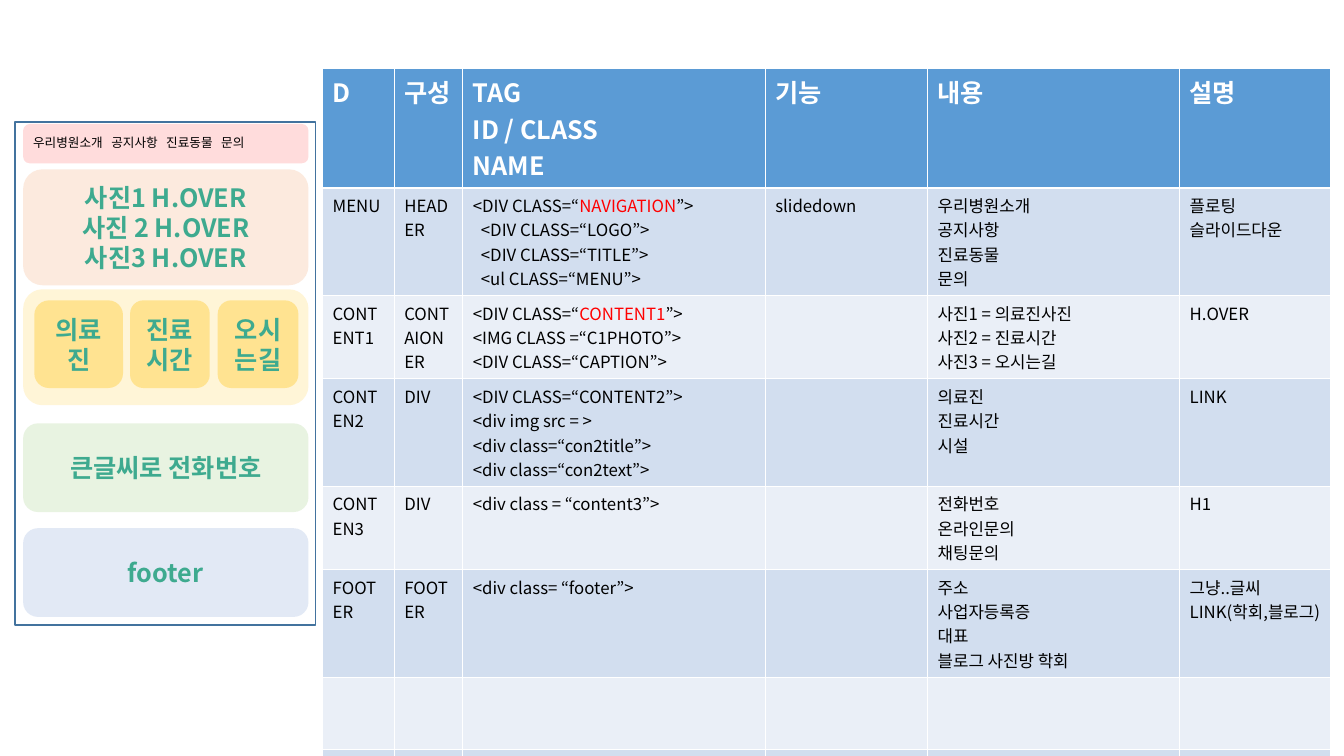
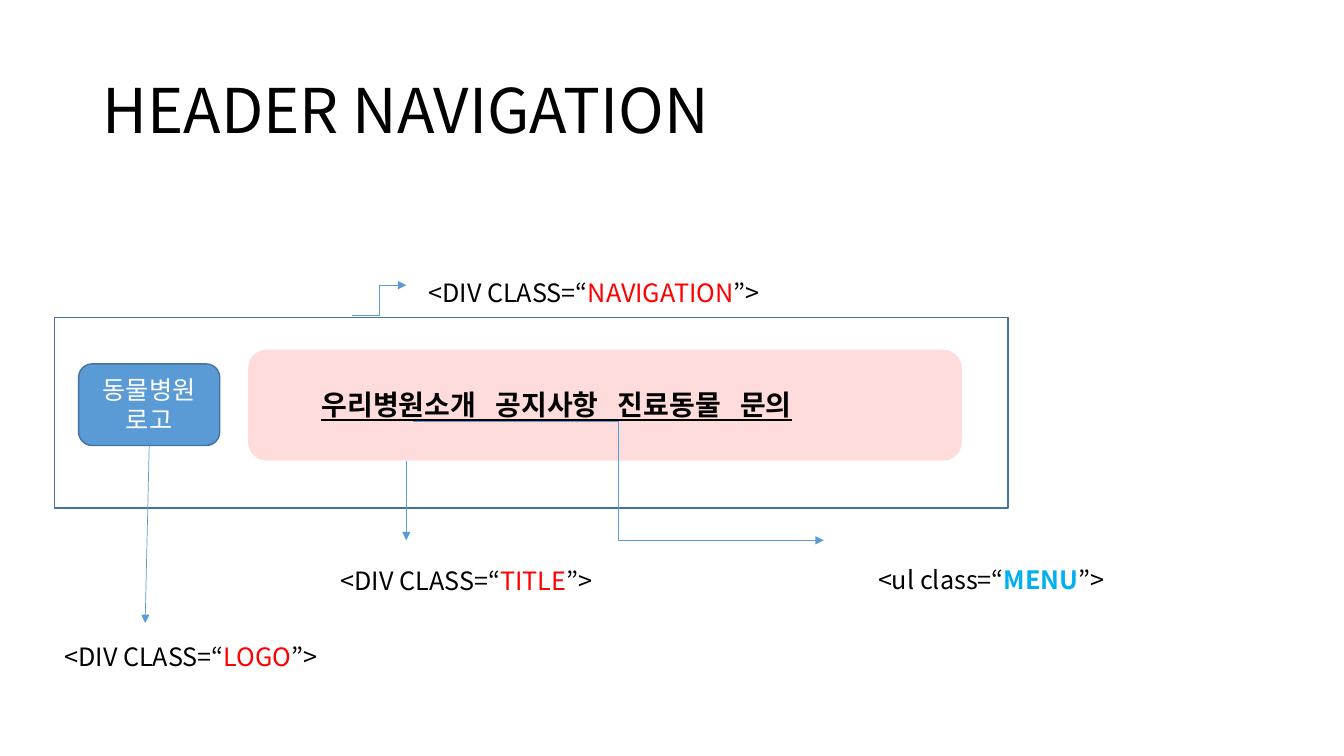
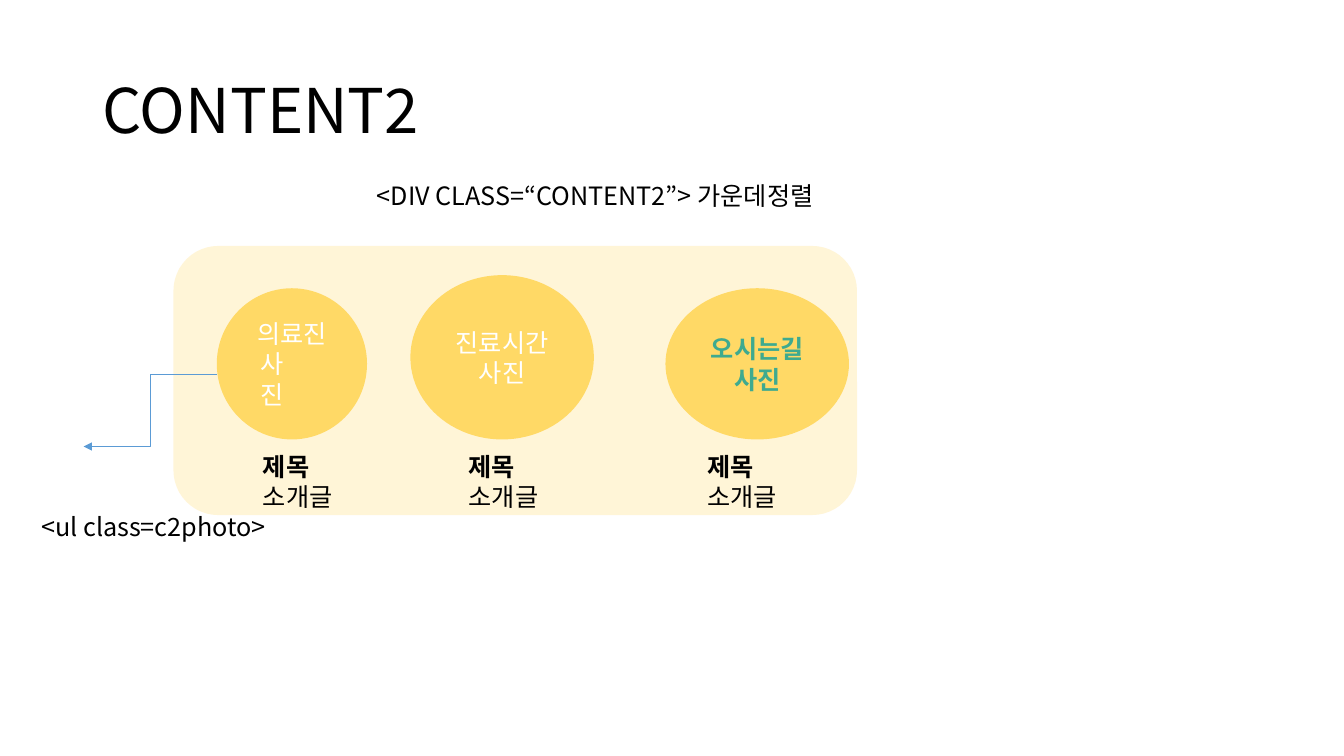
from lxml.etree import SubElement
from pptx import Presentation
from pptx.dml.color import RGBColor
from pptx.enum.shapes import MSO_CONNECTOR as LINK, MSO_SHAPE as SHAPE
from pptx.enum.text import MSO_ANCHOR as ANCHOR, PP_ALIGN as ALIGN
from pptx.oxml.ns import qn
from pptx.util import Inches, Pt

FONT = "Noto Sans CJK KR"
COLORS = {
    "black": "000000", "white": "FFFFFF", "red": "FF0000", "sky": "00B0F0",
    "green": "3EAA8F", "blue": "5B9BD5", "outline": "43739E",
    "band": "D2DEEF", "pale band": "EAEFF7",
    "pink": "FF7979", "orange": "F4B183", "yellow": "FFD966",
    "leaf": "A9D18E", "periwinkle": "8FAADC",
}
RGB = {name: RGBColor.from_string(value) for name, value in COLORS.items()}
MENU = "우리병원소개   공지사항   진료동물   문의"


def write(frame, lines, size=18, color="black", bold=False, align=ALIGN.LEFT,
          accent="red", leading=1.2):
    """Write one paragraph per line; a tuple is (before, accented, after)."""
    frame.word_wrap = True
    for number, line in enumerate(lines):
        para = frame.add_paragraph() if number else frame.paragraphs[0]
        para.alignment = align
        if leading:
            para.line_spacing = Pt(round(leading * size, 1))
        font = para.font
        font.size, font.bold, font.name = Pt(size), bold, FONT
        font.color.rgb = RGB[color]
        SubElement(para._p.pPr.find(qn("a:defRPr")), qn("a:ea"), typeface=FONT)
        parts = line if isinstance(line, tuple) else (line,)
        for position, part in enumerate(parts):
            span = para.add_run()
            span.text = part
            if position == 1:
                span.font.color.rgb = RGB[accent]
                span.font.bold = accent == "sky"


def add_box(page, at, kind=None, fill=None, alpha=100, line=None, lines=(), **style):
    """Add a text box, or a preset shape with centred text when kind is given."""
    place = [Inches(value) for value in at]
    if kind is None:
        box = page.shapes.add_textbox(*place)
    else:
        box = page.shapes.add_shape(kind, *place)
        box.shadow.inherit = False
        style = {"align": ALIGN.CENTER, **style}
        if fill:
            box.fill.solid()
            box.fill.fore_color.rgb = RGB[fill]
            if alpha < 100:
                tint = box.fill._xPr.find(qn("a:solidFill"))[0]
                SubElement(tint, qn("a:alpha"), val=str(alpha * 1000))
        else:
            box.fill.background()
        if line:
            box.line.color.rgb = RGB[line]
            box.line.width = Pt(1)
        else:
            box.line.fill.background()
    write(box.text_frame, lines, **style)
    return box


deck = Presentation()
deck.slide_width, deck.slide_height = Inches(13.33), Inches(7.5)
plan, header, content = [deck.slides.add_slide(deck.slide_layouts[6]) for _ in range(3)]

# Shared title style
for page, title in ((header, "HEADER NAVIGATION"), (content, "CONTENT2")):
    box = add_box(page, (0.92, 0.4, 11.5, 1.45), lines=[title], size=44, leading=1.05)
    box.text_frame.vertical_anchor = ANCHOR.MIDDLE

# Slide 1: page structure table
rows = [
    [["D"], ["구성"], ["TAG", "ID / CLASS", "NAME"], ["기능"], ["내용"], ["설명"]],
    [["MENU"], ["HEADER"],
     [("<DIV CLASS=“", "NAVIGATION", "”>"), "<DIV CLASS=“LOGO”>",
      "<DIV CLASS=“TITLE”>", "<ul CLASS=“MENU”>"],
     ["slidedown"], ["우리병원소개", "공지사항", "진료동물", "문의"],
     ["플로팅", "슬라이드다운"]],
    [["CONTENT1"], ["CONTAIONER"],
     [("<DIV CLASS=“", "CONTENT1", "”>"), "<IMG CLASS =“C1PHOTO”>",
      "<DIV CLASS=“CAPTION”>"],
     [], ["사진1 = 의료진사진", "사진2 = 진료시간", "사진3 = 오시는길"], ["H.OVER"]],
    [["CONTEN2"], ["DIV"],
     ["<DIV CLASS=“CONTENT2”>", "<div img src = >", "<div class=“con2title”>",
      "<div class=“con2text”>"],
     [], ["의료진", "진료시간", "시설"], ["LINK"]],
    [["CONTEN3"], ["DIV"], ["<div class = “content3”>"],
     [], ["전화번호", "온라인문의", "채팅문의"], ["H1"]],
    [["FOOTER"], ["FOOTER"], ["<div class= “footer”>"],
     [], ["주소", "사업자등록증", "대표", "블로그 사진방 학회"],
     ["그냥..글씨", "LINK(학회,블로그)"]],
    [[]] * 6,
    [[]] * 6,
]
widths = [0.71, 0.68, 3, 1.61, 2.5, 1.5]
table = plan.shapes.add_table(len(rows), len(widths), Inches(3.2), Inches(0.68),
                              Inches(10), Inches(0.72 * len(rows))).table
for column, width in zip(table.columns, widths):
    column.width = Inches(width)
for row_number, row in enumerate(rows):
    if row_number == 0:
        fill, style = "blue", {"size": 18, "color": "white", "bold": True}
    else:
        fill, style = ("band" if row_number % 2 else "pale band"), {"size": 12}
    for column_number, lines in enumerate(row):
        cell = table.cell(row_number, column_number)
        cell.fill.solid()
        cell.fill.fore_color.rgb = RGB[fill]
        write(cell.text_frame, lines, leading=None, **style)
# Tags nested inside the navigation
for para in table.cell(1, 2).text_frame.paragraphs[1:]:
    para._p.pPr.set("marL", str(Inches(0.08)))

# Slide 1: wireframe
add_box(plan, (0.15, 1.21, 2.98, 4.99), SHAPE.RECTANGLE, line="outline")
for top, height, fill, lines in (
    (1.23, 0.39, "pink", []),
    (1.68, 1.15, "orange", ["사진1 H.OVER", "사진 2 H.OVER", "사진3 H.OVER"]),
    (2.87, 1.15, "yellow", []),
    (4.2, 0.88, "leaf", ["큰글씨로 전화번호"]),
    (5.24, 0.88, "periwinkle", ["footer"]),
):
    add_box(plan, (0.23, top, 2.83, height), SHAPE.ROUNDED_RECTANGLE, fill, 26,
            lines=lines, color="green", bold=True)
add_box(plan, (0.23, 1.29, 2.62, 0.25), lines=[MENU], size=9)
for left, width, label in ((0.34, 0.88, "의료진"), (1.29, 0.79, "진료시간"),
                           (2.16, 0.8, "오시는길")):
    add_box(plan, (left, 2.98, width, 0.87), SHAPE.ROUNDED_RECTANGLE, "yellow", 61,
            lines=[label], color="green", bold=True)

# Slide 2: navigation bar
add_box(header, (2.46, 3.47, 7.08, 1.1), SHAPE.ROUNDED_RECTANGLE, "pink", 26)
menu = add_box(header, (3.09, 3.8, 6.15, 0.44), lines=[MENU], size=20, bold=True)
menu.text_frame.paragraphs[0].font.underline = True
add_box(header, (0.54, 3.15, 9.46, 1.89), SHAPE.RECTANGLE, line="outline")
logo = add_box(header, (0.78, 3.61, 1.4, 0.81), SHAPE.ROUNDED_RECTANGLE, "blue",
               line="outline", lines=["동물병원", "로고"], color="white")

# Slide 2: tag labels
for left, top, width, before, name, accent in (
    (4.15, 2.7, 3.64, "<DIV CLASS=“", "NAVIGATION", "red"),
    (3.28, 5.56, 2.75, "<DIV CLASS=“", "TITLE", "red"),
    (0.54, 6.31, 2.83, "<DIV CLASS=“", "LOGO", "red"),
    (8.61, 5.55, 2.52, "<ul class=“", "MENU", "sky"),
):
    add_box(header, (left, top, width, 0.4), lines=[(before, name, "”>")], accent=accent)

# Slide 3: photo circles with captions
add_box(content, (1.72, 2.44, 6.78, 2.67), SHAPE.ROUNDED_RECTANGLE, "yellow", 26)
add_box(content, (3.64, 1.74, 4.78, 0.4), lines=["<DIV CLASS=“CONTENT2”> 가운데정렬"])
for at, name, color, caption_left, right_margin in (
    ((2.15, 2.86, 1.49, 1.5), "의료진", "white", 2.51, 0.4),
    ((4.07, 2.73, 1.82, 1.63), "진료시간", "white", 4.55, 0),
    ((6.6, 2.86, 1.82, 1.5), "오시는길", "green", 6.92, 0),
):
    circle = add_box(content, at, SHAPE.OVAL, "yellow", lines=[name, "사진"],
                     color=color, bold=color == "green")
    circle.text_frame.paragraphs[1]._p.pPr.set("marR", str(Inches(right_margin)))
    caption = add_box(content, (caption_left, 4.43, 0.96, 0.71), lines=["제목", "소개글"])
    caption.text_frame.paragraphs[0].font.bold = True
add_box(content, (0.31, 5.02, 2.5, 0.4), lines=["<ul class=c2photo>"])

# Arrows from the parts to their tags
for page, kind, ends, source in (
    (header, LINK.ELBOW, (3.49, 3.13, 4.03, 2.83), None),
    (header, LINK.STRAIGHT, (1.48, 4.42, 1.44, 6.18), logo),
    (header, LINK.ELBOW, (4.1, 4.18, 8.17, 5.36), None),
    (header, LINK.STRAIGHT, (4.03, 4.57, 4.03, 5.36), None),
    (content, LINK.ELBOW, (2.15, 3.71, 0.83, 4.43), None),
):
    arrow = page.shapes.add_connector(kind, *[Inches(value) for value in ends])
    if source:
        arrow.begin_connect(source, 2)
    arrow.line.color.rgb = RGB["blue"]
    arrow.line.width = Pt(0.5)
    SubElement(arrow.line._get_or_add_ln(), qn("a:tailEnd"), type="triangle")
    SubElement(arrow._element.spPr, qn("a:effectLst"))

deck.save("out.pptx")
